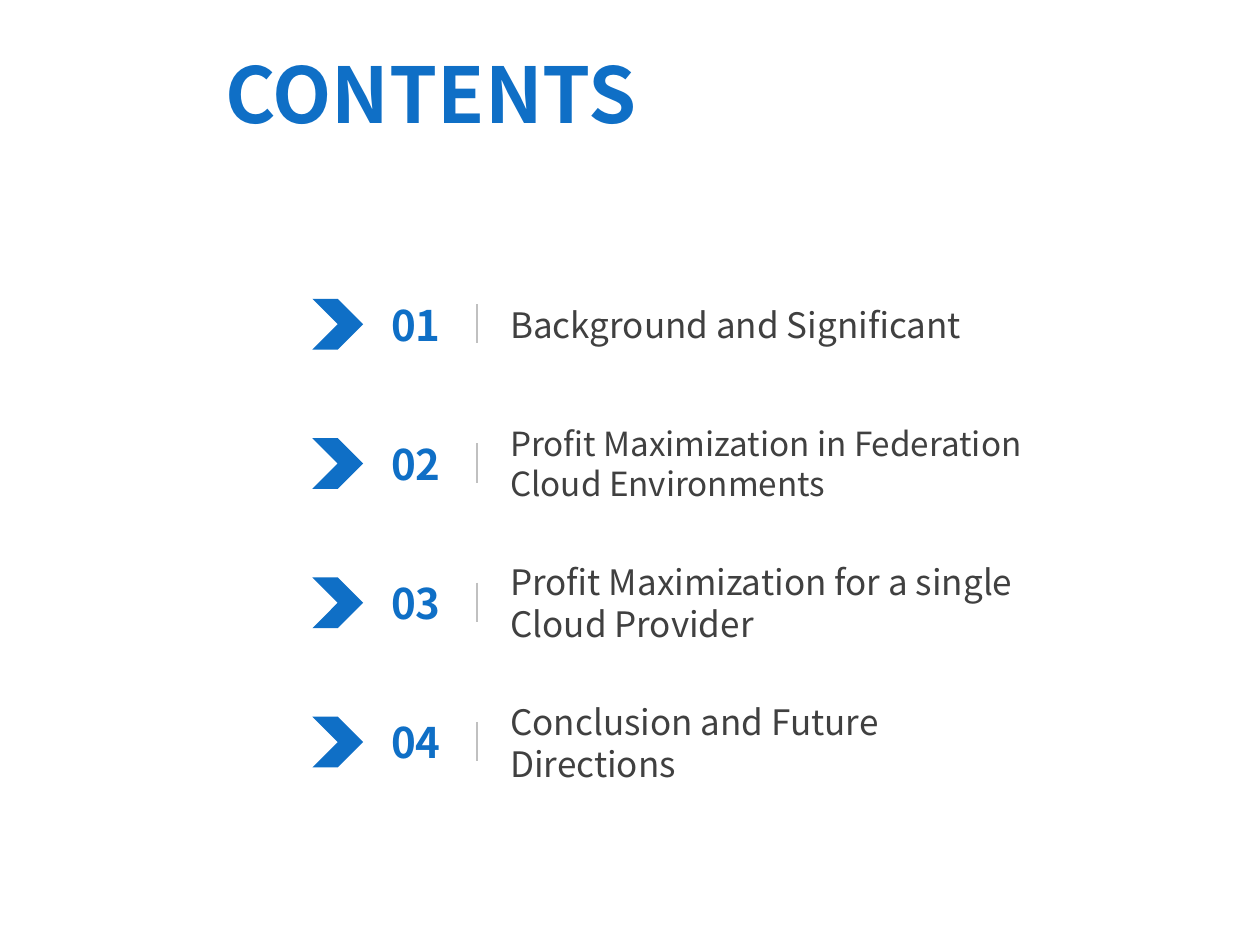
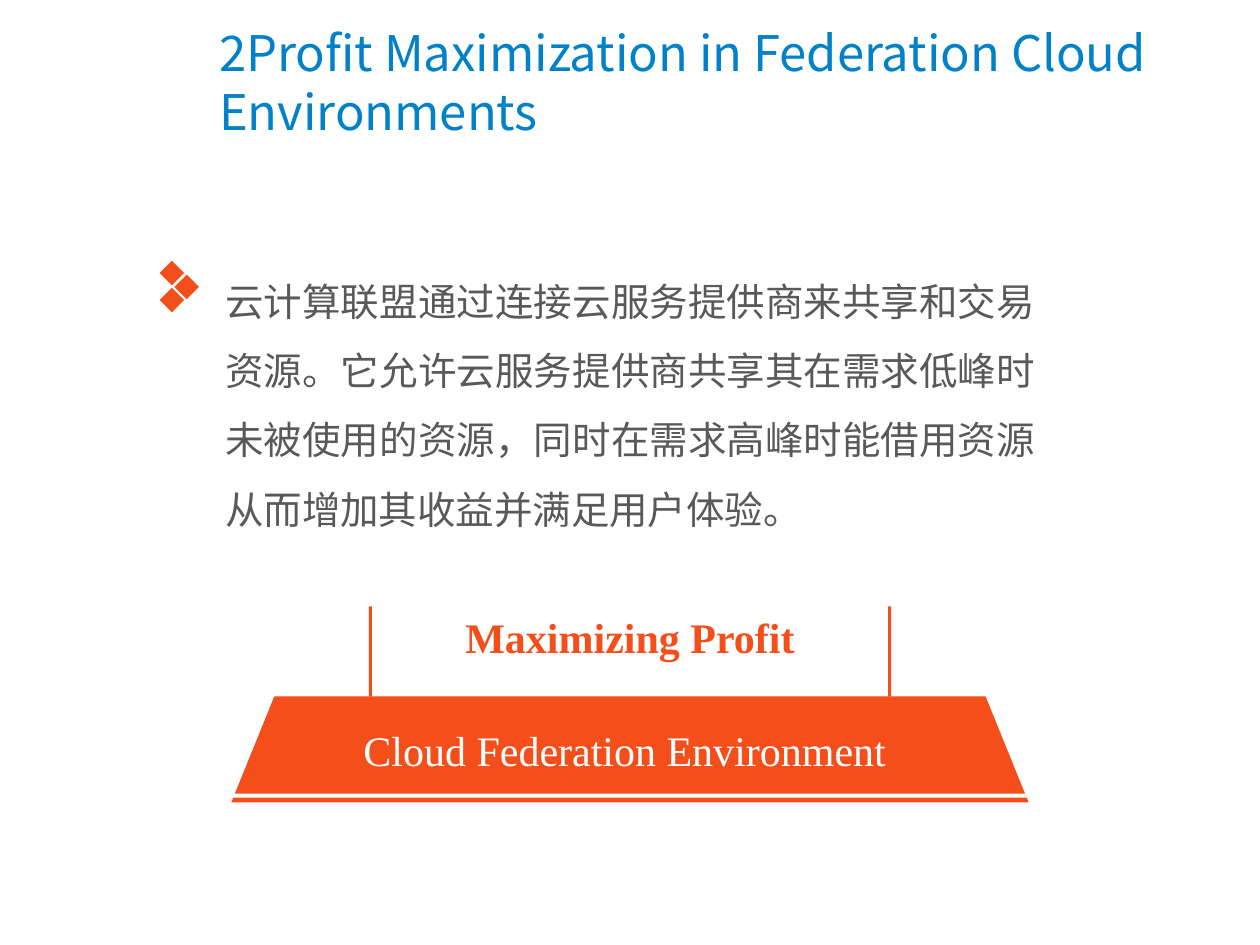
from lxml import etree
from pptx import Presentation
from pptx.dml.color import RGBColor
from pptx.enum import shapes, text
from pptx.oxml import ns
from pptx.util import Pt

BLUE, TITLE_BLUE, ORANGE = "0F6FC6", "0081C8", "F44F1B"
DARK, GREY, SILVER, WHITE = "404040", "595959", "C0C0C0", "FFFFFF"
SANS, SERIF = "Noto Sans CJK SC", "Times New Roman"
LEFT, CENTER, JUSTIFY = (text.PP_ALIGN.LEFT, text.PP_ALIGN.CENTER,
                         text.PP_ALIGN.JUSTIFY)
TOP, MIDDLE = text.MSO_ANCHOR.TOP, text.MSO_ANCHOR.MIDDLE

CONTENTS = [
    ("Background and Significant", 20),
    ("Profit Maximization in Federation Cloud Environments", 19),
    ("Profit Maximization for a single Cloud Provider", 20),
    ("Conclusion and Future Directions", 20),
]
SUMMARY = ("云计算联盟通过连接云服务提供商来共享和交易资源。"
           "它允许云服务提供商共享其在需求低峰时未被使用的资源，"
           "同时在需求高峰时能借用资源从而增加其收益并满足用户体验。")


def rgb(value):
    return RGBColor.from_string(value)


def set_attributes(target, values):
    for name, value in values.items():
        setattr(target, name, value)


def place(shape, box):
    names = ("left", "top", "width", "height")
    set_attributes(shape, {name: Pt(value) for name, value in zip(names, box)})


def write(shape, words, color, size, font=SANS, bold=False, align=LEFT,
          anchor=MIDDLE, spacing=1.0, margins=(7.2, 3.6, 7.2, 3.6)):
    """Fill a shape with one formatted paragraph; margins run left, top, right, bottom."""
    frame = shape.text_frame
    set_attributes(frame, {"word_wrap": True, "vertical_anchor": anchor,
                           "auto_size": text.MSO_AUTO_SIZE.NONE})
    sides = ("margin_left", "margin_top", "margin_right", "margin_bottom")
    set_attributes(frame, {side: Pt(value) for side, value in zip(sides, margins)})
    paragraph = frame.paragraphs[0]
    set_attributes(paragraph, {"alignment": align, "line_spacing": spacing,
                               "space_before": Pt(0)})
    run = paragraph.add_run()
    run.text = words
    set_attributes(run.font, {"size": Pt(size), "name": font, "bold": bold})
    run.font.color.rgb = rgb(color)
    return paragraph


def add_label(slide, box, words, color, size, **style):
    label = slide.shapes.add_textbox(*map(Pt, box))
    write(label, words, color, size, **style)


def add_title(slide, box, words, color, size, **style):
    title = slide.shapes.title
    place(title, box)
    write(title, words, color, size, **style)


def add_outline(slide, left, top, contours, color):
    """Draw closed contours, given relative to left and top, as one filled shape."""
    moved = [[(Pt(left + x), Pt(top + y)) for x, y in contour]
             for contour in contours]
    builder = slide.shapes.build_freeform(*moved[0][0])
    for index, (start, *rest) in enumerate(moved):
        if index:
            builder.move_to(*start)
        builder.add_line_segments(rest, close=True)
    shape = builder.convert_to_shape()
    shape.shadow.inherit = False
    shape.fill.solid()
    shape.fill.fore_color.rgb = rgb(color)
    shape.line.fill.background()
    return shape


def add_divider(slide, x, top, bottom):
    divider = slide.shapes.add_connector(
        shapes.MSO_CONNECTOR.STRAIGHT, Pt(x), Pt(top), Pt(x), Pt(bottom))
    divider.line.color.rgb = rgb(SILVER)
    divider.line.width = Pt(0.75)
    etree.SubElement(divider._element.spPr, ns.qn("a:effectLst"))


def add_contents_row(slide, left, top, number, words, size):
    height, side = 57, 29
    half = side / 2
    chevron = [(0, 0), (half, 0), (side, half), (half, side), (0, side), (half, half)]
    add_label(slide, (left + 29, top, 60.5, height), f"{number:02}", BLUE, 24,
              bold=True, align=CENTER)
    add_divider(slide, left + 94, top + 17, top + 39.5)
    add_label(slide, (left + 106, top, 316, height), words, DARK, size)
    add_outline(slide, left, top + (height - side) / 2, [chevron], BLUE)


def add_diamonds(slide, left, top):
    radius = 7
    centers = [(7, 22.5), (15.5, 15), (7, 7)]
    diamonds = [[(x, y - radius), (x + radius, y), (x, y + radius), (x - radius, y)]
                for x, y in centers]
    add_outline(slide, left, top, diamonds, ORANGE)


def mirrored(width, top_inset, top, bottom_inset, bottom):
    """Return a trapezoid that is symmetric within the given width."""
    return [(top_inset, top), (width - top_inset, top),
            (width - bottom_inset, bottom), (bottom_inset, bottom)]


def add_platform(slide, left, top):
    """Draw the two rails and the base that they stand on."""
    rail_span, rail_height, rail_width, base_width = 298.5, 51.5, 1.75, 455.5
    rails = [[(x, 0), (x + rail_width, 0), (x + rail_width, rail_height),
              (x, rail_height)] for x in (rail_span - rail_width, 0)]
    rail_left = left + (base_width - rail_span) / 2
    goal = add_outline(slide, rail_left, top, rails, ORANGE)
    write(goal, "Maximizing Profit", ORANGE, 24, font=SERIF, bold=True,
          align=CENTER, anchor=TOP, margins=(0, 3, 0, 0))
    base = add_outline(slide, left, top + rail_height,
                       [mirrored(base_width, 1, 57.75, 0, 60.5),
                        mirrored(base_width, 24.5, 0, 2, 55.5)], ORANGE)
    write(base, "Cloud Federation Environment ", WHITE, 24, font=SERIF, align=CENTER)


def add_summary(slide, box):
    body = slide.placeholders[1]
    place(body, box)
    paragraph = write(body, SUMMARY, GREY, 22, font=SERIF, align=JUSTIFY,
                      anchor=TOP, spacing=1.5)
    properties = paragraph._p.get_or_add_pPr()
    properties.set("marL", "0")
    properties.set("indent", "0")
    etree.SubElement(properties, ns.qn("a:buNone"))
    run_properties = paragraph.runs[0]._r.get_or_add_rPr()
    etree.SubElement(run_properties, ns.qn("a:ea"), typeface=SANS)


def build_contents(presentation):
    slide = presentation.slides.add_slide(presentation.slide_layouts[5])
    add_title(slide, (121.5, 22.5, 263.5, 60.5), "CONTENTS", BLUE, 44, bold=True)
    for index, (words, size) in enumerate(CONTENTS):
        add_contents_row(slide, 178.5, 156.75 + 79.6 * index, index + 1, words, size)


def build_federation(presentation):
    slide = presentation.slides.add_slide(presentation.slide_layouts[1])
    add_title(slide, (118, 9.5, 593.5, 54), CONTENTS[1][0].join(("2", "")),
              TITLE_BLUE, 28, anchor=TOP)
    add_platform(slide, 132.25, 346.5)
    add_summary(slide, (121.5, 142, 477.5, 174))
    add_diamonds(slide, 91.25, 149)


def main():
    presentation = Presentation()
    presentation.slide_width, presentation.slide_height = Pt(720), Pt(540)
    build_contents(presentation)
    build_federation(presentation)
    presentation.save("out.pptx")


if __name__ == "__main__":
    main()
